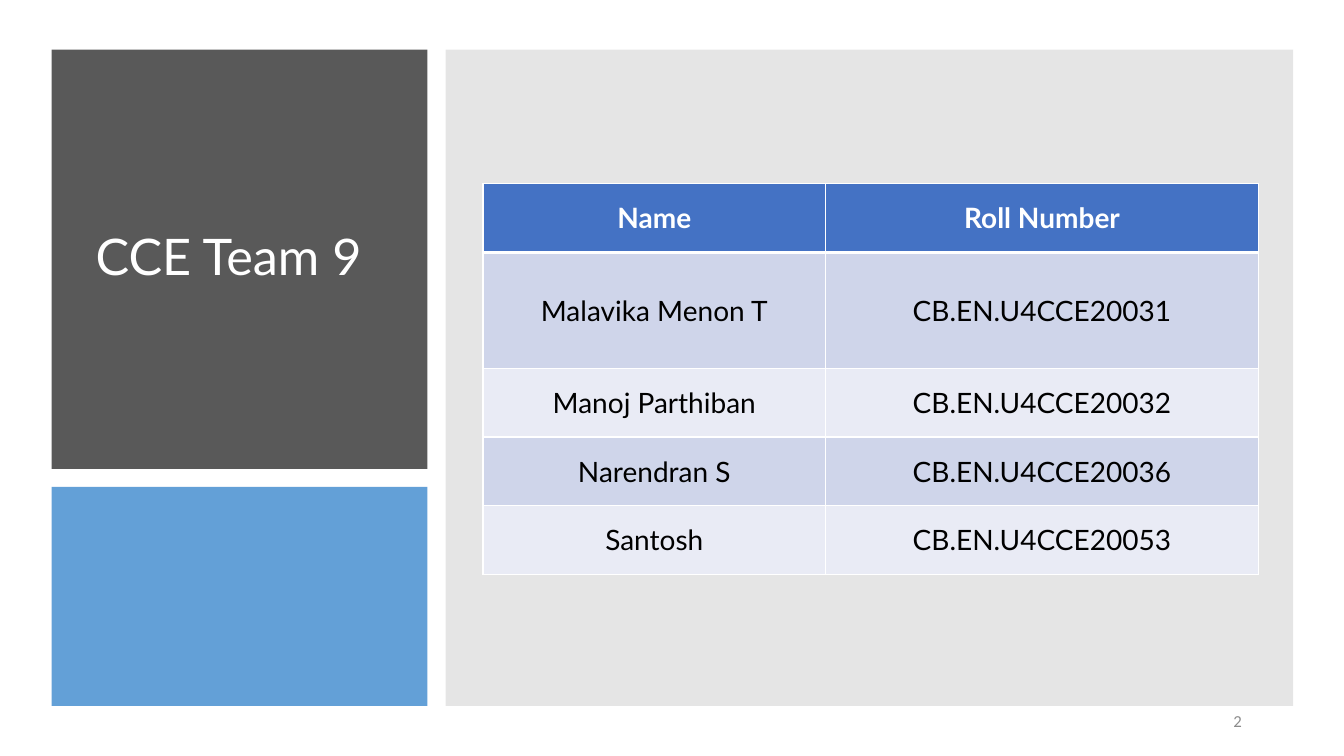
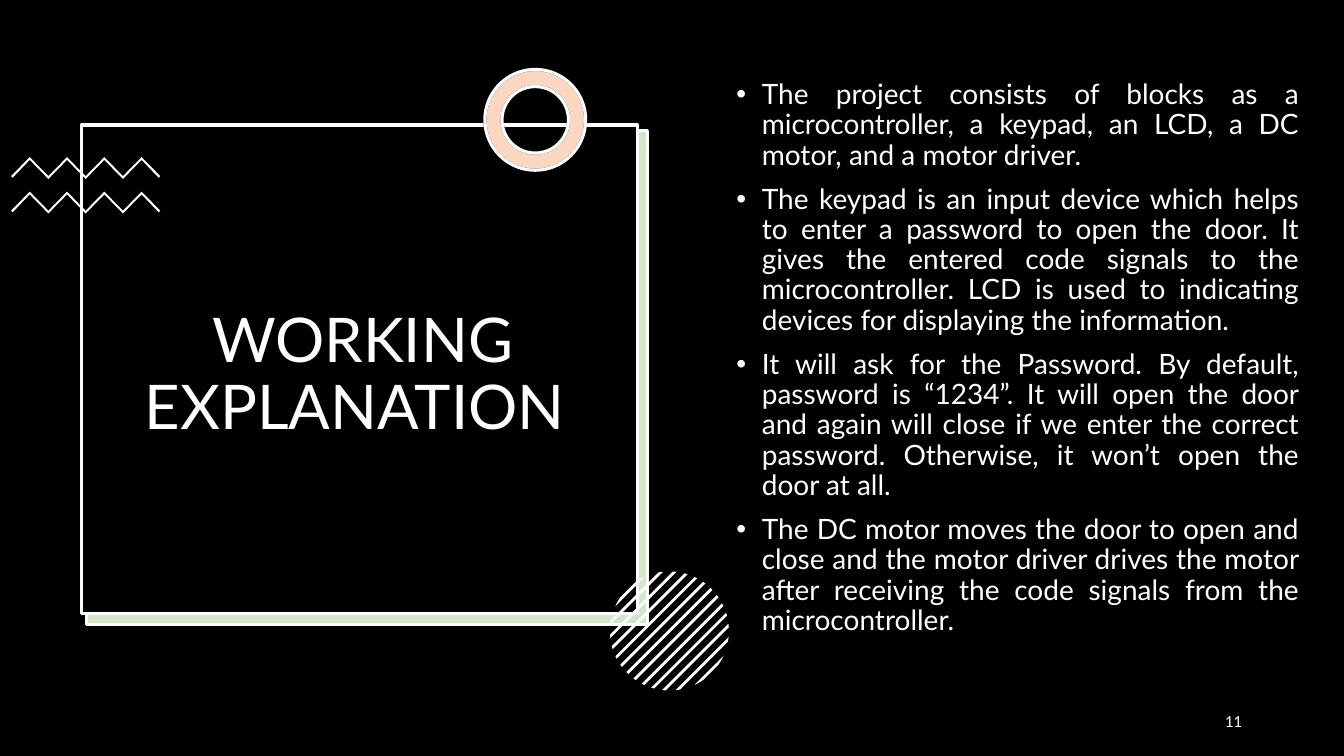
import math

import lxml.etree
import pptx
import pptx.dml.color
import pptx.enum.shapes
import pptx.enum.text
import pptx.oxml.ns
import pptx.util

Cm = pptx.util.Cm
Pt = pptx.util.Pt
RGBColor = pptx.dml.color.RGBColor
SHAPE = pptx.enum.shapes.MSO_SHAPE
ALIGN = pptx.enum.text.PP_ALIGN
MIDDLE = pptx.enum.text.MSO_ANCHOR.MIDDLE
qn = pptx.oxml.ns.qn

WHITE = RGBColor(0xFF, 0xFF, 0xFF)
BLACK = RGBColor(0x00, 0x00, 0x00)
CHARCOAL = RGBColor(0x59, 0x59, 0x59)
SKY = RGBColor(0x5B, 0x9B, 0xD5)
GRAY = RGBColor(0x80, 0x80, 0x80)
HEADER_BLUE = RGBColor(0x44, 0x72, 0xC4)
BAND_DARK = RGBColor(0xCF, 0xD5, 0xEA)
BAND_LIGHT = RGBColor(0xE9, 0xEB, 0xF5)
GREEN = RGBColor(0x70, 0xAD, 0x47)
ORANGE = RGBColor(0xED, 0x7D, 0x31)
PAGE_GRAY = RGBColor(0x8C, 0x8C, 0x8C)

SLIDE_W, SLIDE_H = 33.87, 19.05
OUTLINE_PT = 2.25
PAGE_BOX = (23.93, 17.65, 7.62, 1.02)
TITLE_FORMAT = {"line_spacing": 0.9}
BODY_FORMAT = {"alignment": ALIGN.JUSTIFY, "line_spacing": 0.9}

TEAM = [
    ("Name", "Roll Number"),
    ("Malavika Menon T", "CB.EN.U4CCE20031"),
    ("Manoj Parthiban", "CB.EN.U4CCE20032"),
    ("Narendran S", "CB.EN.U4CCE20036"),
    ("Santosh", "CB.EN.U4CCE20053"),
]
TEAM_COLUMNS = (8.64, 10.9)
TEAM_ROWS = (1.73, 2.92, 1.73, 1.73, 1.73)

WORKING_POINTS = [
    "The project consists of blocks as a microcontroller, a keypad, an LCD, a DC motor, and a motor driver.",
    "The keypad is an input device which helps to enter a password to open the door. It gives the entered code "
    "signals to the microcontroller. LCD is used to indicating devices for displaying the information.",
    "It will ask for the Password. By default, password is “1234”. It will open the door and again will close "
    "if we enter the correct password. Otherwise, it won’t open the door at all.",
    "The DC motor moves the door to open and close and the motor driver drives the motor after receiving the "
    "code signals from the microcontroller.",
]


def assign(target, values):
    for key, value in values.items():
        setattr(target, key, value)


def paint(shape, fill, opacity=100, outline=None):
    shape.shadow.inherit = False
    shape.fill.solid()
    shape.fill.fore_color.rgb = fill
    if opacity < 100:
        color = shape._element.spPr.find(qn("a:solidFill"))[0]
        lxml.etree.SubElement(color, qn("a:alpha"), val=str(opacity * 1000))
    if outline is None:
        shape.line.fill.background()
    else:
        shape.line.color.rgb = outline
        shape.line.width = Pt(OUTLINE_PT)


def panel(slide, box, fill, opacity=100, outline=None, preset=SHAPE.RECTANGLE):
    shape = slide.shapes.add_shape(preset, *map(Cm, box))
    paint(shape, fill, opacity, outline)
    return shape


def outline_shape(slide, points, fill):
    corners = [(Cm(x), Cm(y)) for x, y in points]
    builder = slide.shapes.build_freeform(*corners[0])
    builder.add_line_segments(corners[1:], close=True)
    paint(builder.convert_to_shape(), fill)


def write(paragraph, text, size, color, font="Lato", bold=False):
    run = paragraph.add_run()
    run.text = text
    assign(run.font, {"size": Pt(size), "name": font, "bold": bold})
    run.font.color.rgb = color


def text_frame(slide, box, anchor=None):
    frame = slide.shapes.add_textbox(*map(Cm, box)).text_frame
    assign(frame, {"word_wrap": True, "vertical_anchor": anchor})
    return frame


def title(slide, box, text, size, alignment=ALIGN.LEFT):
    heading = text_frame(slide, box, MIDDLE).paragraphs[0]
    assign(heading, {**TITLE_FORMAT, "alignment": alignment})
    write(heading, text, size, WHITE)


def page_number(slide, number, color):
    footer = text_frame(slide, PAGE_BOX, MIDDLE).paragraphs[0]
    footer.alignment = ALIGN.RIGHT
    write(footer, str(number), 12, color, font="Calibri")


def cell_border(cell, side, width):
    line = lxml.etree.SubElement(
        cell._tc.get_or_add_tcPr(), qn("a:" + side), w=str(int(Pt(width))))
    fill = lxml.etree.SubElement(line, qn("a:solidFill"))
    lxml.etree.SubElement(fill, qn("a:srgbClr"), val=str(WHITE))


def team_table(slide, left, top):
    size = (sum(TEAM_COLUMNS), sum(TEAM_ROWS))
    table = slide.shapes.add_table(
        len(TEAM), len(TEAM_COLUMNS), *map(Cm, (left, top, *size))).table
    assign(table, {"first_row": False, "horz_banding": False})
    for column, width in zip(table.columns, TEAM_COLUMNS):
        column.width = Cm(width)
    margins = {"margin_left": Cm(0.4), "margin_right": Cm(0.4),
               "margin_top": Cm(0.2), "margin_bottom": Cm(0.2)}
    for r, (row, height) in enumerate(zip(table.rows, TEAM_ROWS)):
        row.height = Cm(height)
        header = r == 0
        fill = HEADER_BLUE if header else (BAND_LIGHT, BAND_DARK)[r % 2]
        borders = {"lnL": 1, "lnR": 1, "lnT": 3 if r == 1 else 1, "lnB": 3 if header else 1}
        for cell, text in zip(row.cells, TEAM[r]):
            assign(cell, {**margins, "vertical_anchor": MIDDLE})
            for side, width in borders.items():
                cell_border(cell, side, width)
            cell.fill.solid()
            cell.fill.fore_color.rgb = fill
            entry = cell.text_frame.paragraphs[0]
            entry.alignment = ALIGN.CENTER
            write(entry, text, 20, WHITE if header else BLACK, bold=header)


def title_panels(slide, left, top, width, text):
    panel(slide, (left, top, width, 10.57), CHARCOAL)
    title(slide, (left + 0.86, top + 0.78, 7.9, 9), text, 36)
    panel(slide, (left, top + 11.02, width, 5.52), SKY, 95)


def team_panel(slide, left, top, width, height):
    panel(slide, (left, top, width, height), GRAY, 20)
    team_table(slide, left + 0.94, top + 3.38)


def zigzag(slide, left, top):
    step, rise, thickness = 0.47, 0.48, 0.07
    upper = [(left + i * step, top + (0 if i % 2 else rise)) for i in range(9)]
    lower = [(x, y + thickness) for x, y in upper[1:-1]]
    (first_x, first_y), (last_x, last_y) = upper[0], upper[-1]
    ends = [(first_x + 0.04, first_y + 0.04), (last_x - 0.04, last_y + 0.04)]
    outline_shape(slide, upper + [ends[1]] + lower[::-1] + [ends[0]], WHITE)


def ring(slide, left, top, size):
    for fill, opacity, outline in ((WHITE, 100, BLACK), (ORANGE, 30, WHITE)):
        band = panel(slide, (left, top, size, size), fill, opacity, outline, SHAPE.DONUT)
        band.adjustments[0] = 0.17


def striped_disc(slide, left, top, size):
    radius, pitch, thickness, steps = size / 2, 0.24, 0.07, 3
    center_x, center_y = left + radius, top + radius

    def rim(offset, side):
        half = side * math.sqrt(max(radius ** 2 - offset ** 2, 0))
        return (center_x + (offset + half) / math.sqrt(2),
                center_y + (offset - half) / math.sqrt(2))

    for stripe in range(-6, 7):
        offsets = [stripe * pitch + thickness * (i / steps - 0.5) for i in range(steps + 1)]
        near = [rim(offset, 1) for offset in offsets]
        far = [rim(offset, -1) for offset in reversed(offsets)]
        outline_shape(slide, near + far, WHITE)


def framed_title(slide, left, top, width, height, text):
    panel(slide, (left + 0.1, top + 0.15, width + 0.15, height + 0.13), WHITE)
    panel(slide, (left + 0.12, top + 0.13, width + 0.15, height + 0.13), GREEN, 30, WHITE)
    panel(slide, (left, top, width, height), BLACK, outline=WHITE)
    for drop in (0.81, 1.68):
        zigzag(slide, left - 1.78, top + drop)
    ring(slide, left + 10.16, top - 1.4, 2.54)
    striped_disc(slide, left + 13.31, top + 11.25, 3)
    title(slide, (left + 0.28, top + 0.71, 13.61, 11.23), text, 44, ALIGN.CENTER)


def bullet_list(slide, box, points):
    frame = text_frame(slide, box)
    for i, point in enumerate(points):
        item = frame.add_paragraph() if i else frame.paragraphs[0]
        properties = item._p.get_or_add_pPr()
        properties.set("marL", str(Cm(0.64)))
        properties.set("indent", str(-Cm(0.64)))
        lxml.etree.SubElement(properties, qn("a:buFont"), typeface="Arial")
        lxml.etree.SubElement(properties, qn("a:buChar"), char="•")
        assign(item, BODY_FORMAT)
        if i:
            item.space_before = Pt(10)
        write(item, point, 20, WHITE)


def team_slide(slide):
    title_panels(slide, 1.3, 1.25, 9.47, "CCE Team 9")
    team_panel(slide, 11.23, 1.25, 21.36, 16.54)
    page_number(slide, 2, PAGE_GRAY)


def working_slide(slide):
    panel(slide, (0, 0, SLIDE_W, SLIDE_H), BLACK)
    framed_title(slide, 2.06, 3.15, 14, 12.32, "WORKING EXPLANATION ")
    bullet_list(slide, (18.31, 1.9, 14.68, 15.24), WORKING_POINTS)
    page_number(slide, 11, WHITE)


def main():
    deck = pptx.Presentation()
    assign(deck, {"slide_width": Cm(SLIDE_W), "slide_height": Cm(SLIDE_H)})
    for build in (team_slide, working_slide):
        build(deck.slides.add_slide(deck.slide_layouts[6]))
    deck.save("out.pptx")


if __name__ == "__main__":
    main()
